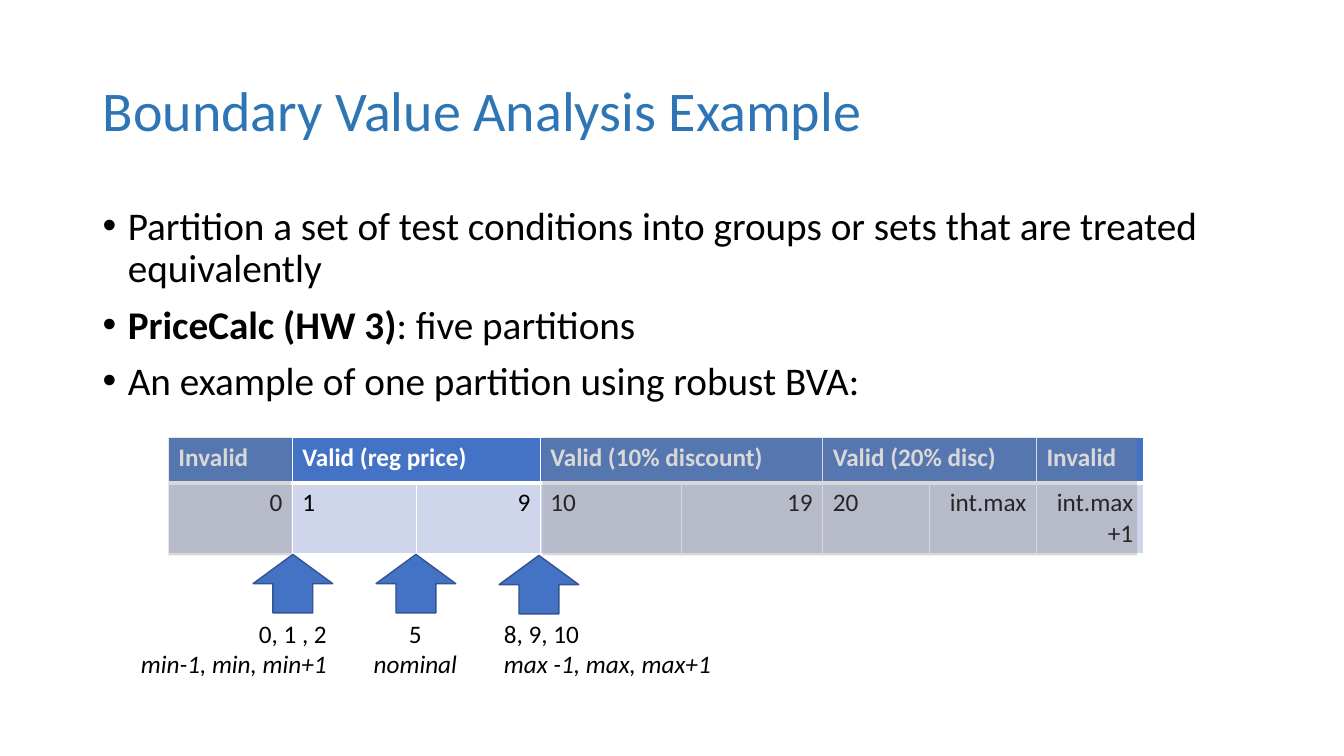
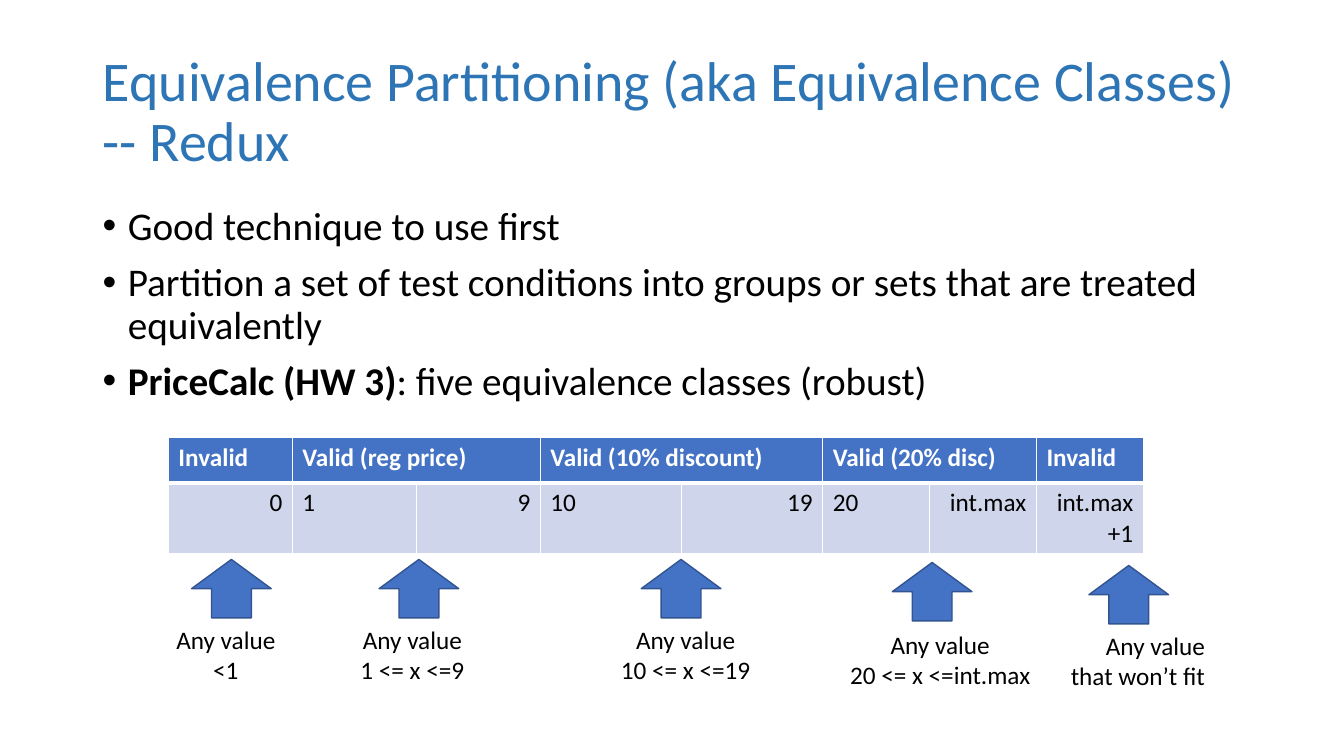
import pptx
import pptx.dml.color
import pptx.enum.shapes
import pptx.enum.text
import pptx.oxml
import pptx.oxml.ns
import pptx.util

Inches = pptx.util.Inches
Pt = pptx.util.Pt
RGBColor = pptx.dml.color.RGBColor
ALIGN = pptx.enum.text.PP_ALIGN
SHAPE = pptx.enum.shapes.MSO_SHAPE
AUTO_SIZE = pptx.enum.text.MSO_AUTO_SIZE
ANCHOR = pptx.enum.text.MSO_ANCHOR

TITLE_BLUE = RGBColor(0x2E, 0x75, 0xB6)
BLUE = RGBColor(0x44, 0x72, 0xC4)
DARK_BLUE = RGBColor(0x32, 0x54, 0x91)
PALE_BLUE = RGBColor(0xCF, 0xD5, 0xEA)
GREY = RGBColor(0x80, 0x80, 0x80)
BLACK = RGBColor(0, 0, 0)
WHITE = RGBColor(0xFF, 0xFF, 0xFF)
FONT = "Calibri"
NS = pptx.oxml.ns.nsdecls("a")

TABLE_LEFT, TABLE_TOP = 1.67, 4.34
COLUMN_WIDTHS = [1.23] * 3 + [1.4] * 2 + [1.06] * 3
ROW_HEIGHTS = [0.45, 0.7]
PARTITIONS = [
    ("Invalid", ["0"]),
    ("Valid (reg price)", ["1", "9"]),
    ("Valid (10% discount)", ["10", "19"]),
    ("Valid (20% disc)", ["20", "int.max"]),
    ("Invalid", ["int.max+1"]),
]
GROUPING = "Partition a set of test conditions into groups or sets that are treated equivalently"
HOMEWORK = "PriceCalc (HW 3)"


def style_font(font, size, color, bold=False, italic=False):
    font.name = FONT
    font.size = Pt(size)
    font.color.rgb = color
    font.bold = bold
    font.italic = italic


def add_title(slide, text):
    title = slide.shapes.title
    title.left, title.top = Inches(0.92), Inches(0.4)
    title.width, title.height = Inches(11.5), Inches(1.45)
    frame = title.text_frame
    frame.text = text
    frame.word_wrap = True
    frame.auto_size = AUTO_SIZE.NONE
    frame.vertical_anchor = ANCHOR.MIDDLE
    paragraph = frame.paragraphs[0]
    paragraph.alignment = ALIGN.LEFT
    paragraph.line_spacing = 0.9
    style_font(paragraph.runs[0].font, 40, TITLE_BLUE)


def add_bullets(slide, bullets):
    box = slide.shapes.add_textbox(Inches(0.92), Inches(2), Inches(11.5), Inches(2.2))
    frame = box.text_frame
    frame.word_wrap = True
    for index, (lead, rest) in enumerate(bullets):
        paragraph = frame.add_paragraph() if index else frame.paragraphs[0]
        properties = paragraph._p.get_or_add_pPr()
        properties.set("marL", str(Inches(0.25)))
        properties.set("indent", str(-Inches(0.25)))
        properties.append(pptx.oxml.parse_xml(f'<a:buFont {NS} typeface="Arial"/>'))
        properties.append(pptx.oxml.parse_xml(f'<a:buChar {NS} char="•"/>'))
        paragraph.line_spacing = 0.9
        if index:
            paragraph.space_before = Pt(10)
        for text, bold in ((lead, True), (rest, False)):
            if text:
                run = paragraph.add_run()
                run.text = text
                style_font(run.font, 28, BLACK, bold)


def set_borders(cell, top, bottom):
    properties = cell._tc.get_or_add_tcPr()
    for side, width in (("L", 1), ("R", 1), ("T", top), ("B", bottom)):
        properties.append(pptx.oxml.parse_xml(
            f'<a:ln{side} {NS} w="{Pt(width)}"><a:solidFill>'
            f'<a:srgbClr val="{WHITE}"/></a:solidFill></a:ln{side}>'))


def fill_cell(cell, text, color, alignment, is_header):
    cell.text = text
    paragraph = cell.text_frame.paragraphs[0]
    paragraph.alignment = alignment
    for run in paragraph.runs:
        style_font(run.font, 18, color, is_header)


def add_partition_table(slide):
    frame = slide.shapes.add_table(
        len(ROW_HEIGHTS), len(COLUMN_WIDTHS), Inches(TABLE_LEFT), Inches(TABLE_TOP),
        Inches(sum(COLUMN_WIDTHS)), Inches(sum(ROW_HEIGHTS)))
    table = frame.table
    for column, width in zip(table.columns, COLUMN_WIDTHS):
        column.width = Inches(width)
    for row, height in zip(table.rows, ROW_HEIGHTS):
        row.height = Inches(height)
    for row, (fill, top, bottom) in enumerate(((BLUE, 1, 3), (PALE_BLUE, 3, 1))):
        for column in range(len(COLUMN_WIDTHS)):
            cell = table.cell(row, column)
            set_borders(cell, top, bottom)
            cell.fill.solid()
            cell.fill.fore_color.rgb = fill
    start = 0
    for heading, limits in PARTITIONS:
        end = start + len(limits) - 1
        if end > start:
            table.cell(0, start).merge(table.cell(0, end))
        fill_cell(table.cell(0, start), heading, WHITE, ALIGN.LEFT, True)
        for offset, limit in enumerate(limits):
            is_lower = len(limits) == 2 and offset == 0
            fill_cell(table.cell(1, start + offset), limit, BLACK,
                      ALIGN.LEFT if is_lower else ALIGN.RIGHT, False)
        start = end + 1


def add_arrow(slide, left, top):
    arrow = slide.shapes.add_shape(
        SHAPE.UP_ARROW, Inches(left), Inches(top), Inches(0.79), Inches(0.58))
    arrow.shadow.inherit = False
    arrow.fill.solid()
    arrow.fill.fore_color.rgb = BLUE
    arrow.line.color.rgb = DARK_BLUE
    arrow.line.width = Pt(1)


def add_label(slide, left, top, width, lines, alignment=ALIGN.CENTER,
              wrap=False, italic_detail=False):
    box = slide.shapes.add_textbox(Inches(left), Inches(top), Inches(width), Inches(0.71))
    frame = box.text_frame
    frame.text = lines
    frame.word_wrap = wrap
    frame.auto_size = AUTO_SIZE.SHAPE_TO_FIT_TEXT
    for index, paragraph in enumerate(frame.paragraphs):
        paragraph.alignment = alignment
        style_font(paragraph.runs[0].font, 18, BLACK, italic=italic_detail and index == 1)


def add_shade(slide, left, width):
    shade = slide.shapes.add_shape(
        SHAPE.RECTANGLE, Inches(left), Inches(TABLE_TOP), Inches(width), Inches(1.17))
    shade.shadow.inherit = False
    shade.fill.solid()
    shade.fill.fore_color.rgb = GREY
    shade.line.fill.background()
    color = shade._element.spPr.find(".//" + pptx.oxml.ns.qn("a:srgbClr"))
    color.append(pptx.oxml.parse_xml(f'<a:alpha {NS} val="30000"/>'))


def add_partition_slide(deck, title, bullets):
    slide = deck.slides.add_slide(deck.slide_layouts[5])
    add_title(slide, title)
    add_bullets(slide, bullets)
    add_partition_table(slide)
    return slide


def add_boundary_slide(deck):
    slide = add_partition_slide(deck, "Boundary Value Analysis Example", [
        ("", GROUPING),
        (HOMEWORK, ": five partitions"),
        ("", "An example of one partition using robust BVA:"),
    ])
    boundaries = [
        (2.51, 5.5, 0.14, 3.2, "0, 1 , 2\nmin-1, min, min+1", ALIGN.RIGHT, True),
        (3.73, 5.5, 3.6, 1.04, "5\nnominal", ALIGN.CENTER, False),
        (4.95, 5.51, 4.9, 2.28, "8, 9, 10\nmax -1, max, max+1", ALIGN.LEFT, False),
    ]
    for arrow_left, arrow_top, left, width, lines, alignment, wrap in boundaries:
        add_arrow(slide, arrow_left, arrow_top)
        add_label(slide, left, 6.08, width, lines, alignment, wrap, italic_detail=True)
    add_shade(slide, TABLE_LEFT, 1.22)
    add_shade(slide, 5.38, 5.9)


def add_equivalence_slide(deck):
    slide = add_partition_slide(
        deck, "Equivalence Partitioning (aka Equivalence Classes) -- Redux", [
            ("", "Good technique to use first"),
            ("", GROUPING),
            (HOMEWORK, ": five equivalence classes (robust)"),
        ])
    classes = [
        (1.9, 5.55, 1.59, 6.14, 1.3, "<1"),
        (3.76, 5.55, 3.44, 6.14, 1.3, "1 <= x <=9"),
        (6.36, 5.55, 6.05, 6.14, 1.5, "10 <= x <=19"),
        (8.85, 5.58, 8.32, 6.19, 2.01, "20 <= x <=int.max"),
    ]
    for arrow_left, arrow_top, left, top, width, condition in classes:
        add_arrow(slide, arrow_left, arrow_top)
        add_label(slide, left, top, width, "Any value\n" + condition)
    add_arrow(slide, 10.8, 5.61)
    add_label(slide, 10.49, 6.2, 1.56, "Any value that won’t fit", ALIGN.RIGHT, wrap=True)


def main():
    deck = pptx.Presentation()
    deck.slide_width = Inches(13.33)
    deck.slide_height = Inches(7.5)
    add_boundary_slide(deck)
    add_equivalence_slide(deck)
    deck.save("out.pptx")


if __name__ == "__main__":
    main()
